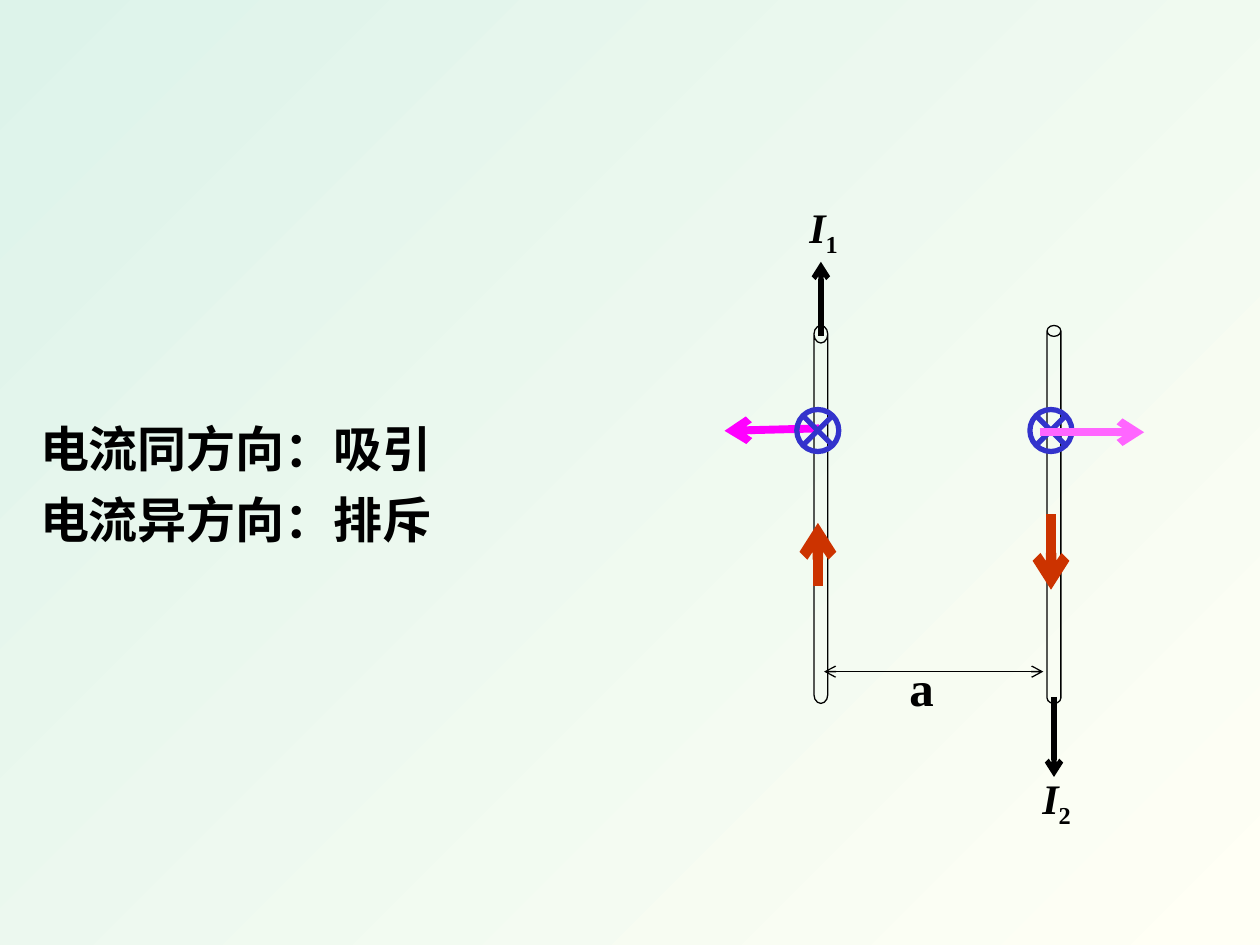
from lxml.etree import SubElement
from pptx import Presentation
from pptx.dml.color import RGBColor
from pptx.enum.shapes import MSO_CONNECTOR as Connector, MSO_SHAPE as Shape
from pptx.enum.text import MSO_AUTO_SIZE as AutoSize
from pptx.oxml.ns import qn
from pptx.util import Pt

BLACK = "000000"
JUNCTION_BLUE = "3333CC"
CURRENT_RED = "CC3300"


def rgb(value):
    return RGBColor.from_string(value)


def add_arrow(slide, start, end, color, width, both_ends=False):
    points = [Pt(value) for value in (*start, *end)]
    arrow = slide.shapes.add_connector(Connector.STRAIGHT, *points)
    arrow.line.color.rgb = rgb(color)
    arrow.line.width = Pt(width)
    line = arrow.line._get_or_add_ln()
    for end_tag in ("a:headEnd", "a:tailEnd") if both_ends else ("a:tailEnd",):
        SubElement(line, qn(end_tag), type="arrow")
    SubElement(arrow._element.spPr, qn("a:effectLst"))


def add_outline(slide, kind, left, top, width, height, color, weight):
    outline = slide.shapes.add_shape(kind, Pt(left), Pt(top), Pt(width), Pt(height))
    outline.shadow.inherit = False
    outline.fill.background()
    outline.line.color.rgb = rgb(color)
    outline.line.width = Pt(weight)
    return outline


def add_words(slide, left, top, width, height, wrap=False):
    box = slide.shapes.add_textbox(Pt(left), Pt(top), Pt(width), Pt(height))
    frame = box.text_frame
    frame.word_wrap = wrap
    frame.auto_size = AutoSize.SHAPE_TO_FIT_TEXT
    return frame


def add_run(paragraph, text, size, italic=False, subscript=False):
    run = paragraph.add_run()
    run.text = text
    run.font.name = "Times New Roman"
    run.font.size = Pt(size)
    run.font.bold = True
    run.font.italic = italic
    run.font.color.rgb = rgb(BLACK)
    if subscript:
        run._r.get_or_add_rPr().set("baseline", "-25000")


def draw_background(slide):
    fill = slide.background.fill
    fill.gradient()
    fill.gradient_angle = 315
    for stop, color in zip(fill.gradient_stops, ("DDF3EA", "FFFFF5")):
        stop.color.rgb = rgb(color)


def draw_rules(slide, left, top, width, height):
    frame = add_words(slide, left, top, width, height, wrap=True)
    add_run(frame.paragraphs[0], "电流同方向：吸引", 28)
    second_rule = frame.add_paragraph()
    second_rule.space_before = Pt(7)
    add_run(second_rule, "电流异方向：排斥", 28)


def draw_wire(slide, left, top, rim, index, current, label_top, flow, force,
              force_color, force_in_front):
    wire = add_outline(slide, Shape.CAN, left, top, 7.9, 216, BLACK, 0.75)
    wire.adjustments[0] = rim
    current_x = left + 4
    add_arrow(slide, (current_x, top + current[0]), (current_x, top + current[1]), BLACK, 3)
    label = add_words(slide, left - 9.7, top + label_top, 31.7, 36).paragraphs[0]
    add_run(label, "I", 24, italic=True)
    add_run(label, index, 24, subscript=True)

    def draw_force():
        start, end = [(left + x, top + y) for x, y in force]
        add_arrow(slide, start, end, force_color, 4.5)

    if not force_in_front:
        draw_force()
    add_outline(slide, Shape.FLOWCHART_SUMMING_JUNCTION, left - 9.8, top + 48,
                24, 24, JUNCTION_BLUE, 3)
    if force_in_front:
        draw_force()
    flow_x = left + 2.3
    add_arrow(slide, (flow_x, top + flow[0]), (flow_x, top + flow[1]), CURRENT_RED, 6)


def draw_wire_pair(slide, left, top):
    distance = add_words(slide, left + 47.5, top + 186, 28.8, 41)
    add_run(distance.paragraphs[0], "a", 28)
    draw_wire(slide, left, top, rim=1.27, index="1", current=(6, -36.4), label_top=-74.5,
              flow=(148.8, 112.8), force=((2.9, 58.8), (-51.1, 60.2)),
              force_color="FF00FF", force_in_front=False)
    draw_wire(slide, left + 133.2, top, rim=0.79, index="2", current=(212.2, 258),
              label_top=251.7, flow=(107.8, 151), force=((-4.3, 61), (55.5, 61)),
              force_color="FF66FF", force_in_front=True)
    add_arrow(slide, (left + 5.8, top + 197.8), (left + 131.1, top + 197.8),
              BLACK, 0.75, both_ends=True)


def main():
    deck = Presentation()
    deck.slide_width, deck.slide_height = Pt(720), Pt(540)
    slide = deck.slides.add_slide(deck.slide_layouts[6])
    draw_background(slide)
    draw_wire_pair(slide, 465.1, 186)
    draw_rules(slide, 15.8, 235.4, 298.8, 92.2)
    deck.save("out.pptx")


if __name__ == "__main__":
    main()
